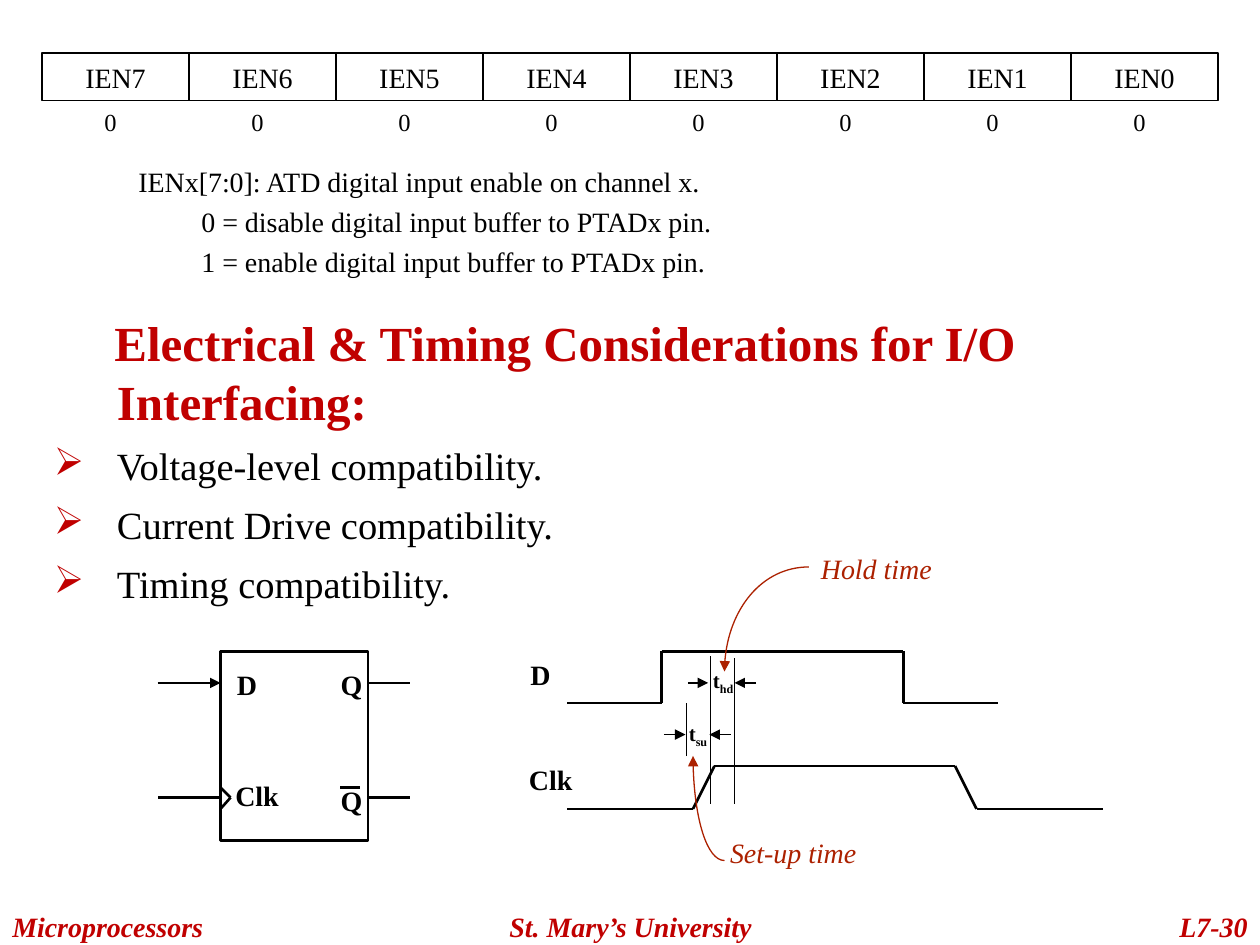
"""Build the ATD input enable register and I/O timing slide."""
from typing import NamedTuple, Optional

from lxml.etree import SubElement
from pptx import Presentation
from pptx.dml.color import RGBColor
from pptx.enum.shapes import MSO_CONNECTOR, MSO_SHAPE
from pptx.enum.text import MSO_ANCHOR, MSO_AUTO_SIZE, PP_ALIGN
from pptx.oxml.ns import qn
from pptx.util import Inches, Pt

BLACK = RGBColor(0x00, 0x00, 0x00)
WHITE = RGBColor(0xFF, 0xFF, 0xFF)
RED = RGBColor(0xC0, 0x00, 0x00)
RUST = RGBColor(0xAC, 0x21, 0x00)
FONT = "Times New Roman"
BITS = 8
BIT_LEFT, BIT_WIDTH = 1 / 3, 7 / 6
THICK, THIN = 1.5, 0.75


class Label(NamedTuple):
    text: str
    left: float
    top: float
    width: float
    height: float = 0.37
    size: float = 16
    color: RGBColor = BLACK
    bold: bool = False
    italic: bool = False
    align: PP_ALIGN = PP_ALIGN.CENTER
    subscript: str = ""


class Line(NamedTuple):
    x1: float
    y1: float
    x2: float
    y2: float
    weight: float = THICK
    arrow: bool = False


class Entry(NamedTuple):
    text: str
    size: float
    color: RGBColor = BLACK
    bold: bool = False
    margin: float = 0
    indent: float = 0
    spacing: float = 1
    before: float = 0
    bullet: Optional[str] = None


LABELS = [
    Label("D", 1.75, 5.25, 0.42, bold=True),
    Label("Clk", 1.75, 6.13, 0.58, bold=True),
    Label("Q", 2.58, 5.25, 0.42, bold=True),
    Label("Q", 2.58, 6.17, 0.42, bold=True),
    Label("t", 5.33, 5.67, 0.42, 0.3, 12, bold=True, subscript="su"),
    Label("t", 5.53, 5.25, 0.42, 0.3, 12, bold=True, subscript="hd"),
    Label("D", 4.08, 5.17, 0.42, bold=True),
    Label("Clk", 4.08, 6, 0.58, bold=True),
    Label("Set-up time", 5.67, 6.58, 1.25, color=RUST, italic=True),
    Label("Hold time", 6.33, 4.33, 1.25, color=RUST, italic=True),
]
FOOTERS = [
    Label("Microprocessors", 0, 7.17, 2, 0.33, 16, RED, True, True, PP_ALIGN.LEFT),
    Label("St. Mary’s University", 3.42, 7.17, 3.17, 0.33, 16, RED, True, True),
    Label("L7-30", 8.42, 7.17, 1.58, 0.33, 16, RED, True, True, PP_ALIGN.RIGHT),
]
FLIP_FLOP_LINES = [
    Line(1.25, 5.42, 1.75, 5.42, arrow=True),
    Line(1.75, 6.25, 1.83, 6.33),
    Line(1.75, 6.42, 1.83, 6.33),
    Line(1.75, 6.33, 1.25, 6.33),
    Line(2.92, 5.42, 3.25, 5.42),
    Line(2.92, 6.33, 3.25, 6.33),
    Line(2.7, 6.25, 2.86, 6.25),
]
DATA_WAVE = [(4.5, 5.58), (5.25, 5.58), (5.25, 5.17),
             (7.17, 5.17), (7.17, 5.58), (7.92, 5.58)]
CLOCK_WAVE = [(4.5, 6.42), (5.5, 6.42), (5.67, 6.08),
              (7.58, 6.08), (7.75, 6.42), (8.75, 6.42)]
TIMING_LINES = [
    Line(5.45, 6, 5.45, 5.58, THIN),
    Line(5.64, 6.38, 5.64, 5.21, THIN),
    Line(5.83, 6.38, 5.83, 5.22, THIN),
    Line(5.27, 5.83, 5.44, 5.83, THIN, True),
    Line(5.8, 5.83, 5.63, 5.83, THIN, True),
    Line(5.46, 5.42, 5.62, 5.42, THIN, True),
    Line(6, 5.42, 5.83, 5.42, THIN, True),
]
SETUP_CURVE = [(5.75, 6.83), (5.61, 6.83), (5.5, 6.46), (5.5, 6)]
HOLD_CURVE = [(6.42, 4.5), (6.05, 4.5), (5.75, 4.87), (5.75, 5.33)]

BIT_NOTES = [Entry("IENx[7:0]: ATD digital input enable on channel x.", 16)] + [
    Entry(text, 16, margin=0.5, spacing=0.8, before=7.3)
    for text in ("0 = disable digital input buffer to PTADx pin.",
                 "1 = enable digital input buffer to PTADx pin.")
]
CONSIDERATIONS = [
    Entry("Electrical & Timing Considerations for I/O Interfacing:",
          28, RED, True, 0.5, -0.02)
] + [
    Entry(f"{topic} compatibility.", 22, margin=0.5, indent=-0.5,
          spacing=0.9, before=10, bullet="➢")
    for topic in ("Voltage-level", "Current Drive", "Timing")
]


def set_font(paragraph, size: float, color: RGBColor, bold: bool, italic: bool = False) -> None:
    font = paragraph.font
    font.name, font.size = FONT, Pt(size)
    font.bold, font.italic = bold, italic
    font.color.rgb = color


def write_label(frame, label: Label) -> None:
    frame.word_wrap = True
    paragraph = frame.paragraphs[0]
    paragraph.alignment = label.align
    paragraph.add_run().text = label.text
    if label.subscript:
        subscript = paragraph.add_run()
        subscript.text = label.subscript
        subscript._r.get_or_add_rPr().set("baseline", "-25000")
    set_font(paragraph, label.size, label.color, label.bold, label.italic)


def add_label(slide, label: Label, grow: bool = True) -> None:
    box = slide.shapes.add_textbox(*map(Inches, label[1:5]))
    write_label(box.text_frame, label)
    if grow:
        box.text_frame.auto_size = MSO_AUTO_SIZE.SHAPE_TO_FIT_TEXT


def add_box(slide, left: float, top: float, width: float, height: float, weight: float):
    box = slide.shapes.add_shape(
        MSO_SHAPE.RECTANGLE, *map(Inches, (left, top, width, height)))
    box.shadow.inherit = False
    box.fill.solid()
    box.fill.fore_color.rgb = WHITE
    box.line.color.rgb = BLACK
    box.line.width = Pt(weight)
    return box


def add_arrowhead(shape) -> None:
    SubElement(shape.line._get_or_add_ln(), qn("a:tailEnd"), type="triangle")


def add_line(slide, line: Line) -> None:
    connector = slide.shapes.add_connector(MSO_CONNECTOR.STRAIGHT, *map(Inches, line[:4]))
    connector.line.color.rgb = BLACK
    connector.line.width = Pt(line.weight)
    SubElement(connector._element.spPr, qn("a:effectLst"))
    if line.arrow:
        add_arrowhead(connector)


def add_curve(slide, points: list[tuple[float, float]]) -> None:
    start, *rest = [(Inches(x), Inches(y)) for x, y in points]
    builder = slide.shapes.build_freeform(*start)
    builder.add_line_segments(rest, close=False)
    curve = builder.convert_to_shape()
    outline = curve._element.xpath(".//a:path")[0]
    bezier = SubElement(outline, qn("a:cubicBezTo"))
    for segment in outline.findall(qn("a:lnTo")):
        bezier.append(segment[0])
        outline.remove(segment)
    curve.shadow.inherit = False
    curve.fill.background()
    curve.line.color.rgb = RUST
    curve.line.width = Pt(THIN)
    add_arrowhead(curve)


def add_entries(slide, entries: list[Entry], *bounds: float) -> None:
    frame = slide.shapes.add_textbox(*map(Inches, bounds)).text_frame
    frame.word_wrap = True
    frame.auto_size = MSO_AUTO_SIZE.SHAPE_TO_FIT_TEXT
    for index, entry in enumerate(entries):
        paragraph = frame.add_paragraph() if index else frame.paragraphs[0]
        paragraph.add_run().text = entry.text
        properties = paragraph._p.get_or_add_pPr()
        properties.set("marL", str(Inches(entry.margin)))
        properties.set("indent", str(Inches(entry.indent)))
        if entry.bullet:
            bullet_color = SubElement(properties, qn("a:buClr"))
            SubElement(bullet_color, qn("a:srgbClr"), val=str(RED))
            SubElement(properties, qn("a:buChar"), char=entry.bullet)
        paragraph.line_spacing = entry.spacing
        paragraph.space_before = Pt(entry.before)
        set_font(paragraph, entry.size, entry.color, entry.bold)


def main() -> None:
    presentation = Presentation()
    presentation.slide_width, presentation.slide_height = Inches(10), Inches(7.5)
    slide = presentation.slides.add_slide(presentation.slide_layouts[6])

    for column in range(BITS):
        left = BIT_LEFT + column * BIT_WIDTH
        cell = Label(f"IEN{BITS - 1 - column}", left, 0.42, BIT_WIDTH, 0.38)
        bit = add_box(slide, *cell[1:5], THIN)
        write_label(bit.text_frame, cell)
        bit.text_frame.vertical_anchor = MSO_ANCHOR.MIDDLE
        add_label(slide, Label("0", left + 1 / 3, 0.8, 0.42, 0.33, 14))

    add_entries(slide, BIT_NOTES, 1, 1.26, 7.33, 1.01)
    add_entries(slide, CONSIDERATIONS, 0.33, 2.43, 9.08, 2.49)

    add_box(slide, 1.75, 5.17, 1.17, 1.5, THICK)
    waves = [Line(*start, *end) for wave in (DATA_WAVE, CLOCK_WAVE)
             for start, end in zip(wave, wave[1:])]
    for line in FLIP_FLOP_LINES + waves + TIMING_LINES:
        add_line(slide, line)
    for label in LABELS:
        add_label(slide, label)
    for curve in (SETUP_CURVE, HOLD_CURVE):
        add_curve(slide, curve)
    for footer in FOOTERS:
        add_label(slide, footer, grow=False)
    presentation.save("out.pptx")


if __name__ == "__main__":
    main()
